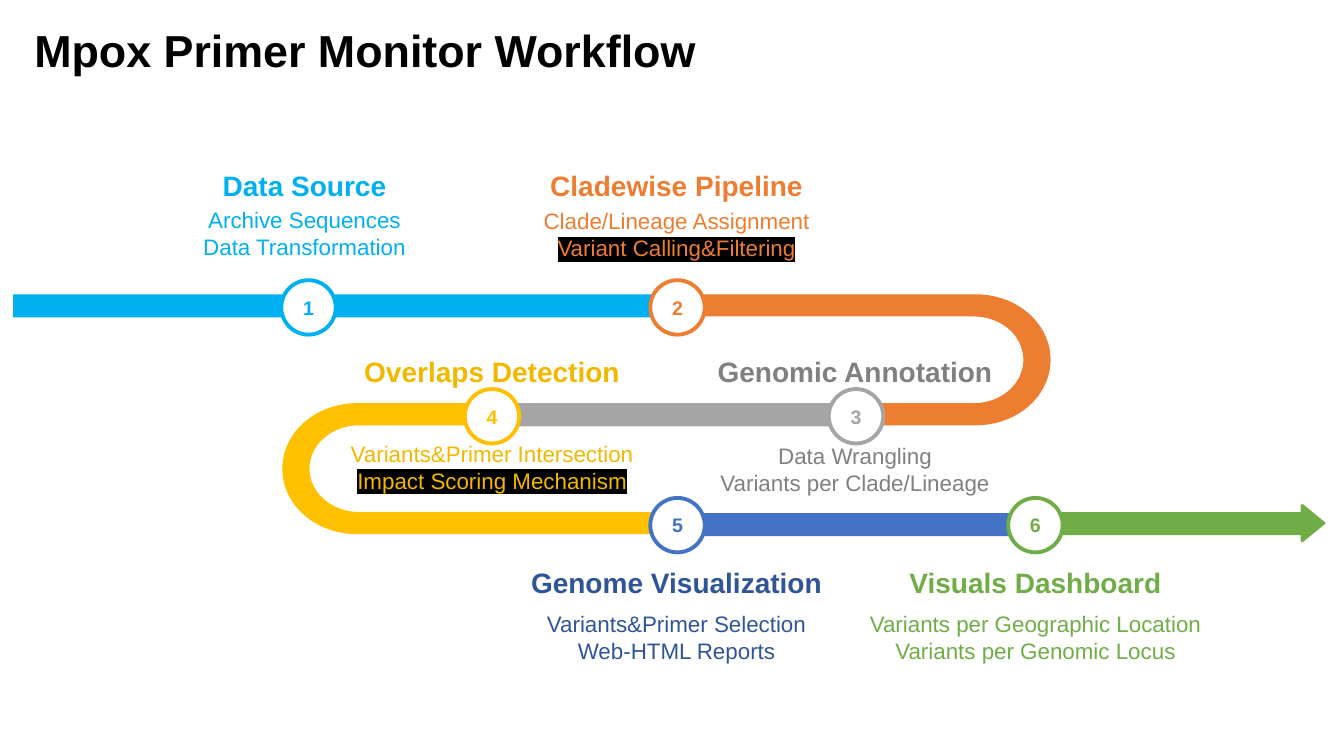
import math
from lxml import etree
from pptx import Presentation
from pptx.dml.color import RGBColor
from pptx.enum.shapes import MSO_SHAPE
from pptx.enum.text import MSO_ANCHOR, MSO_AUTO_SIZE, PP_ALIGN
from pptx.oxml.ns import qn
from pptx.util import Inches, Pt

OVAL, BAR = MSO_SHAPE.OVAL, MSO_SHAPE.RECTANGLE
TOP, MIDDLE, BOTTOM = MSO_ANCHOR.TOP, MSO_ANCHOR.MIDDLE, MSO_ANCHOR.BOTTOM
LEFT, CENTER = PP_ALIGN.LEFT, PP_ALIGN.CENTER
FIT_SHAPE = MSO_AUTO_SIZE.SHAPE_TO_FIT_TEXT

BLACK = RGBColor(0x00, 0x00, 0x00)
WHITE = RGBColor(0xFF, 0xFF, 0xFF)
CYAN = RGBColor(0x00, 0xB0, 0xF0)
ORANGE = RGBColor(0xED, 0x7D, 0x31)
GRAY = RGBColor(0xA5, 0xA5, 0xA5)
DARK_GRAY = RGBColor(0x80, 0x80, 0x80)
YELLOW = RGBColor(0xFF, 0xC0, 0x00)
DARK_YELLOW = RGBColor(0xF2, 0xB8, 0x00)
BLUE = RGBColor(0x44, 0x72, 0xC4)
DARK_BLUE = RGBColor(0x2F, 0x55, 0x97)
GREEN = RGBColor(0x70, 0xAD, 0x47)

BAND = 0.23
MARKER = 0.54


def write_lines(frame, lines, size, color, bold=False, anchor=TOP, align=CENTER):
    frame.text = "\n".join(lines)
    frame.vertical_anchor = anchor
    for paragraph in frame.paragraphs:
        paragraph.alignment = align
        paragraph.font.name = "Arial"
        paragraph.font.size = Pt(size)
        paragraph.font.bold = bold
        paragraph.font.color.rgb = color


def draw_outline(points, color):
    corners = [(Inches(x), Inches(y)) for x, y in points]
    builder = slide.shapes.build_freeform(*corners[0])
    builder.add_line_segments(corners[1:], close=True)
    outline = builder.convert_to_shape()
    outline.shadow.inherit = False
    outline.fill.solid()
    outline.fill.fore_color.rgb = color
    outline.line.fill.background()


prs = Presentation()
prs.slide_width, prs.slide_height = Inches(13.33), Inches(7.5)
slide = prs.slides.add_slide(prs.slide_layouts[5])

title = slide.shapes.title
title.left, title.top = Inches(0.24), Inches(0.18)
title.width, title.height = Inches(6.94), Inches(0.64)
write_lines(title.text_frame, ["Mpox Primer Monitor Workflow"], 32, BLACK, True, TOP, LEFT)
title.text_frame.auto_size = FIT_SHAPE

stations = [
    (2.79, 2.78, 3.02, 2.01, 2.05, CYAN, CYAN, "Data Source",
     ["Archive Sequences", "Data Transformation"], False),
    (6.45, 2.78, 6.71, 2.01, 2.06, ORANGE, ORANGE, "Cladewise Pipeline",
     ["Clade/Lineage Assignment", "Variant Calling&Filtering"], True),
    (8.22, 3.86, 8.48, 3.85, 4.39, GRAY, DARK_GRAY, "Genomic Annotation",
     ["Data Wrangling", "Variants per Clade/Lineage"], False),
    (4.61, 3.86, 4.88, 3.85, 4.37, YELLOW, DARK_YELLOW, "Overlaps Detection",
     ["Variants&Primer Intersection", "Impact Scoring Mechanism"], True),
    (6.45, 4.94, 6.71, 5.94, 6.05, BLUE, DARK_BLUE, "Genome Visualization",
     ["Variants&Primer Selection", "Web-HTML Reports"], False),
    (10, 4.94, 10.27, 5.94, 6.05, GREEN, GREEN, "Visuals Dashboard",
     ["Variants per Geographic Location", "Variants per Genomic Locus"], False),
]

for _, _, center, head_bottom, detail_top, _, ink, heading, details, highlighted in stations:
    for top, height, width, lines, size, bold, anchor in (
        (head_bottom - 0.45, 0.45, 2.95, [heading], 20, True, BOTTOM),
        (detail_top, 0.6, 3.35, details, 16, False, TOP),
    ):
        label = slide.shapes.add_textbox(
            Inches(center - width / 2), Inches(top), Inches(width), Inches(height))
        frame = label.text_frame
        frame.word_wrap = True
        frame.margin_left = frame.margin_right = frame.margin_top = frame.margin_bottom = 0
        write_lines(frame, lines, size, ink, bold, anchor)
    if highlighted:
        run_properties = frame.paragraphs[1].runs[0].font._element
        highlight = etree.SubElement(run_properties, qn("a:highlight"))
        etree.SubElement(highlight, qn("a:srgbClr"), val=str(BLACK))

bends = [
    (6.76, 3.54, 4.65, 4.65, -1, YELLOW),
    (6.93, 9.68, 8.62, 3.57, 1, ORANGE),
]
angles = [math.radians(step * 5 - 90) for step in range(37)]
for top_end, turn_x, bottom_end, turn_y, side, color in bends:
    outer = [(turn_x + side * 0.74 * math.cos(a), turn_y + 0.65 * math.sin(a)) for a in angles]
    inner = [(turn_x - side * 0.02 + side * 0.49 * math.cos(a), turn_y + 0.43 * math.sin(a))
             for a in reversed(angles)]
    upper_x, lower_x = (bottom_end, top_end) if side < 0 else (top_end, bottom_end)
    draw_outline(
        [(upper_x, turn_y - 0.65)] + outer
        + [(lower_x, turn_y + 0.65), (lower_x, turn_y + 0.43)] + inner
        + [(upper_x, turn_y - 0.43)], color)

for start, end, top, color in (
    (0.13, 6.74, 2.92, CYAN),
    (5.07, 8.5, 4, GRAY),
    (6.76, 10.19, 5.09, BLUE),
    (10.19, 12.94, 5.08, GREEN),
):
    band = slide.shapes.add_shape(
        BAR, Inches(start), Inches(top), Inches(end - start), Inches(BAND))
    band.shadow.inherit = False
    band.fill.solid()
    band.fill.fore_color.rgb = color
    band.line.fill.background()

for number, (left, top, _, _, _, color, *_) in enumerate(stations, 1):
    marker = slide.shapes.add_shape(
        OVAL, Inches(left), Inches(top), Inches(MARKER), Inches(MARKER))
    marker.shadow.inherit = False
    marker.fill.solid()
    marker.fill.fore_color.rgb = WHITE
    marker.line.color.rgb = color
    marker.line.width = Pt(2.75)
    marker.text_frame.word_wrap = False
    write_lines(marker.text_frame, [str(number)], 14, color, True, MIDDLE)

draw_outline([(12.9, 5.02), (12.91, 5), (12.92, 5), (13.14, 5.18), (13.15, 5.19),
              (13.14, 5.2), (12.92, 5.38), (12.91, 5.38), (12.9, 5.36)], GREEN)

prs.save("out.pptx")
